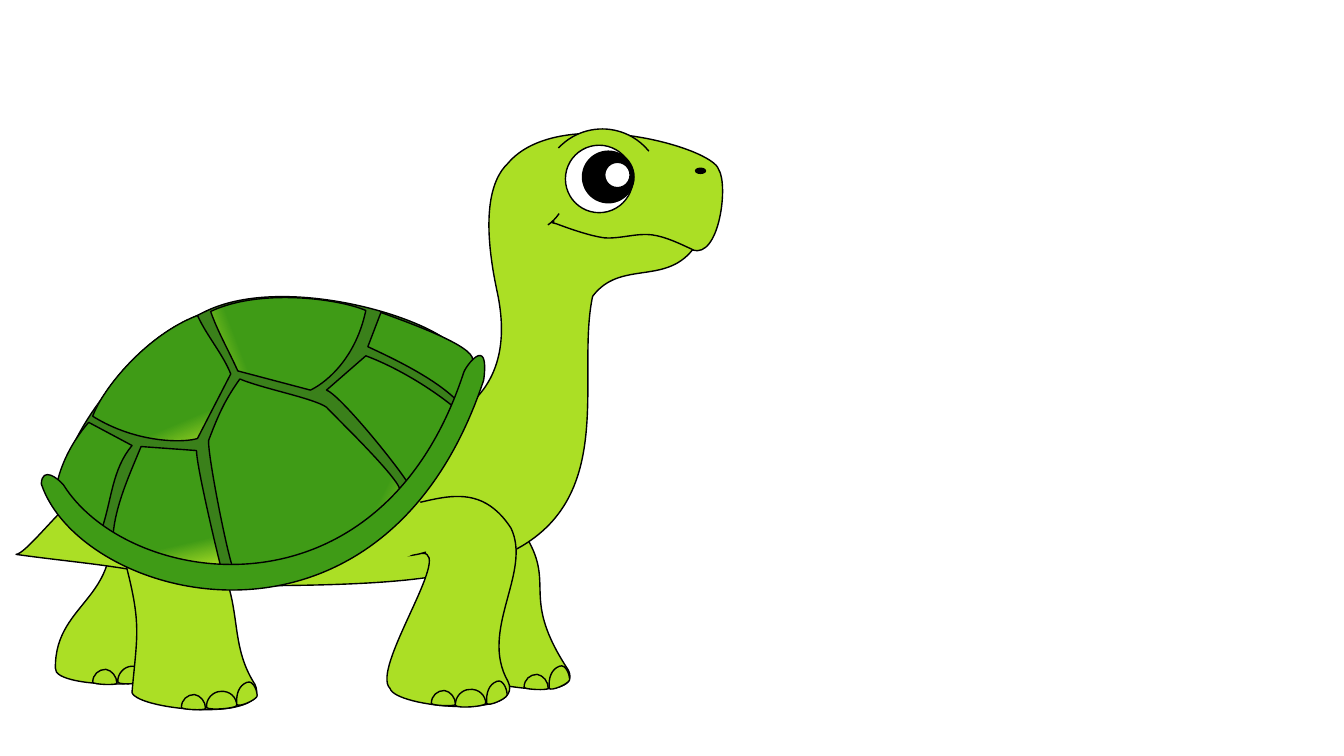
from lxml.etree import SubElement
from pptx import Presentation
from pptx.dml.color import RGBColor
from pptx.enum.shapes import MSO_SHAPE as Shape
from pptx.oxml.ns import qn
from pptx.util import Cm, Pt

LIME = RGBColor(0xAB, 0xDF, 0x25)
GREEN = RGBColor(0x3F, 0x9B, 0x16)
DARK_GREEN = RGBColor(0x3A, 0x80, 0x1A)
BLACK = RGBColor(0, 0, 0)
WHITE = RGBColor(255, 255, 255)
UNIT = Cm(2.54) // 100  # grid of the outlines
STEPS = 20

prs = Presentation()
prs.slide_width, prs.slide_height = Cm(33.87), Cm(19.05)
shapes = prs.slides.add_slide(prs.slide_layouts[6]).shapes


def paint(sp, fill, line=BLACK):
    sp.shadow.inherit = False
    if fill is None:
        sp.fill.background()
    else:
        sp.fill.solid()
        sp.fill.fore_color.rgb = fill
    if line is None:
        sp.line.fill.background()
    else:
        sp.line.color.rgb = line
        sp.line.width = Pt(1)


def add_outline(start, parts, fill, closed=True, dx=0, dy=0):
    """Draw parts from start: pairs are straight lines, sextets Bezier curves."""
    parts = [[(x + dx, y + dy) for x, y in zip(part[::2], part[1::2])]
             for part in parts]
    pen = (start[0] + dx, start[1] + dy)
    builder = shapes.build_freeform(*pen, scale=UNIT)
    edge = []
    for part in parts:
        if len(part) == 3:
            a, b, c, d = pen, *part
            for t in (i / STEPS for i in range(1, STEPS)):
                u = 1 - t
                edge.append(tuple(
                    u**3 * a[k] + 3 * u*u*t * b[k] + 3 * u*t*t * c[k] + t**3 * d[k]
                    for k in (0, 1)))
        pen = part[-1]
        edge.append(pen)
    builder.add_line_segments(edge, close=closed)
    sp = builder.convert_to_shape()

    # The polyline sets the bounds; true curves take its place.
    track = sp.element.find('.//' + qn('a:path'))
    for old in list(track)[1:]:
        track.remove(old)
    left, top = round(sp.left / UNIT), round(sp.top / UNIT)
    for part in parts:
        tag = 'a:cubicBezTo' if len(part) == 3 else 'a:lnTo'
        segment = SubElement(track, qn(tag))
        for x, y in part:
            SubElement(segment, qn('a:pt'), x=str(x - left), y=str(y - top))
    if closed:
        SubElement(track, qn('a:close'))
    paint(sp, fill)
    return sp


# Toe outlines, relative to the top left corner of each toe
TOES = [
    ((24, 14), [(24, 7, 19, 1, 13, 0), (6, 0, 0, 5, 0, 13), (2, 15, 22, 16, 24, 14)]),
    ((31, 14), [(31, 6, 24, -1, 15, 0), (7, 0, 0, 8, 1, 16), (4, 19, 29, 17, 31, 14)]),
    ((21, 14), [(22, 11, 18, -3, 11, 0), (3, 3, 0, 12, 1, 22), (3, 25, 19, 18, 21, 14)]),
]

# Body and legs from back to front: start, parts, toes as (kind, x, y)
limbs = [
    ((523, 534), [(482, 471, 464, 500, 420, 488), (420, 507),
                  (447, 602, 441, 589, 436, 655), (441, 674, 582, 703, 564, 665),
                  (516, 592, 551, 582, 523, 534)],
     [(0, 520, 669), (2, 544, 661)]),
    ((137, 528), [(97, 464, 161, 493, 117, 481), (104, 499),
                  (131, 594, 54, 594, 55, 663), (52, 685, 195, 685, 176, 655),
                  (150, 613, 165, 576, 137, 528)],
     [(0, 92, 664), (1, 116, 661)]),
    ((713, 168), [(707, 146, 554, 103, 504, 162), (486, 179, 478, 217, 493, 288),
                  (541, 505, 194, 422, 204, 422), (116, 419, 34, 548, 16, 550),
                  (80, 559, 129, 561, 204, 581), (381, 582, 456, 576, 504, 549),
                  (615, 497, 571, 374, 588, 294), (615, 258, 659, 283, 687, 248),
                  (714, 257, 723, 183, 713, 168)],
     []),
    ((214, 552), [(173, 488, 160, 517, 115, 505), (115, 524),
                  (142, 618, 137, 620, 131, 687), (137, 705, 271, 717, 253, 679),
                  (226, 637, 242, 600, 214, 552)],
     [(0, 180, 689), (1, 204, 686), (2, 234, 677)]),
    ((507, 524), [(466, 461, 411, 514, 367, 502), (379, 529),
                  (375, 569, 437, 542, 419, 549), (450, 547, 367, 664, 387, 683),
                  (392, 702, 522, 714, 504, 676), (475, 625, 528, 568, 507, 524)],
     [(0, 428, 685), (1, 451, 684), (2, 482, 676)]),
]
for start, parts, toes in limbs:
    add_outline(start, parts, LIME)
    for kind, x, y in toes:
        add_outline(*TOES[kind], LIME, dx=x, dy=y)

mouth = [(675, 242, 661, 235, 647, 233), (632, 231, 616, 237, 600, 236),
         (584, 234, 560, 225, 552, 222), (543, 220, 550, 220, 550, 220)]
add_outline((688, 248), mouth, None, closed=False)

# Brow, mouth corner, eye, nostril, pupil, glint and the top of the leg
rounds = [
    (Shape.ARC, 13.67, 3.25, 3.02, 3.02, LIME, BLACK, (223, 321)),
    (Shape.ARC, 12.07, 3.66, 2.21, 2.21, None, BLACK, (34, 55)),
    (Shape.OVAL, 14.25, 3.66, 1.7, 1.7, WHITE, BLACK, ()),
    (Shape.OVAL, 17.53, 4.24, 0.25, 0.13, BLACK, BLACK, ()),
    (Shape.OVAL, 14.68, 3.81, 1.3, 1.3, BLACK, BLACK, ()),
    (Shape.OVAL, 15.24, 4.09, 0.64, 0.64, WHITE, BLACK, ()),
    (Shape.OVAL, 9.32, 12.37, 1.45, 1.7, LIME, None, ()),
]
for kind, x, y, w, h, fill, line, angles in rounds:
    sp = shapes.add_shape(kind, Cm(x), Cm(y), Cm(w), Cm(h))
    for i, angle in enumerate(angles):
        sp.adjustments[i] = angle * 0.6
    paint(sp, fill, line)

# Shell, its plates and its rim: start, parts, fill, glow as (angle, reach)
shell = [
    ((458, 353), [(444, 319, 290, 271, 208, 307), (127, 343, 65, 434, 62, 477),
                  (79, 543, 186, 600, 307, 551), (428, 503, 473, 386, 458, 353)],
     DARK_GREEN, None),
    ((363, 308), [(335, 296, 257, 286, 209, 309), (216, 329, 227, 348, 236, 368),
                  (308, 387), (319, 382, 352, 360, 363, 308)],
     GREEN, (21, 0.24)),
    ((92, 413), [(102, 385, 146, 332, 196, 313), (205, 333, 221, 351, 229, 371),
                 (196, 435), (185, 439, 137, 441, 92, 413)],
     GREEN, (113, 0.22)),
    ((469, 357), [(470, 343, 405, 320, 378, 310), (365, 344),
                  (393, 357, 430, 375, 452, 396), (455, 391, 471, 381, 469, 357)],
     GREEN, None),
    ((448, 402), [(423, 382, 390, 363, 363, 353), (324, 387),
                  (337, 392, 388, 454, 404, 478), (410, 475, 450, 426, 448, 402)],
     GREEN, None),
    ((207, 437), [(218, 408, 224, 396, 238, 376), (262, 386, 311, 395, 324, 404),
                  (334, 415, 401, 479, 397, 488), (360, 528, 304, 565, 233, 567),
                  (229, 568, 206, 453, 207, 437)],
     GREEN, (153, 0.2)),
    ((112, 535), [(113, 504, 129, 470, 140, 443), (195, 447),
                  (195, 461, 212, 534, 219, 562), (213, 565, 128, 553, 112, 535)],
     GREEN, (103, 0.22)),
    ((57, 478), [(60, 464, 69, 441, 88, 419), (131, 442),
                 (111, 466, 111, 496, 101, 525), (96, 522, 66, 500, 57, 478)],
     GREEN, None),
    ((480, 377), [(486, 331, 462, 363, 460, 370), (377, 623, 127, 583, 63, 481),
                  (58, 475, 42, 462, 41, 480), (80, 597, 380, 678, 480, 377)],
     GREEN, None),
]
for start, parts, fill, glow in shell:
    sp = add_outline(start, parts, fill)
    if glow:
        angle, reach = glow
        sp.fill.gradient()
        sp.fill.gradient_angle = angle
        for stop, color, position in zip(sp.fill.gradient_stops, (LIME, GREEN), (0, reach)):
            stop.color.rgb = color
            stop.position = position

prs.save("out.pptx")
